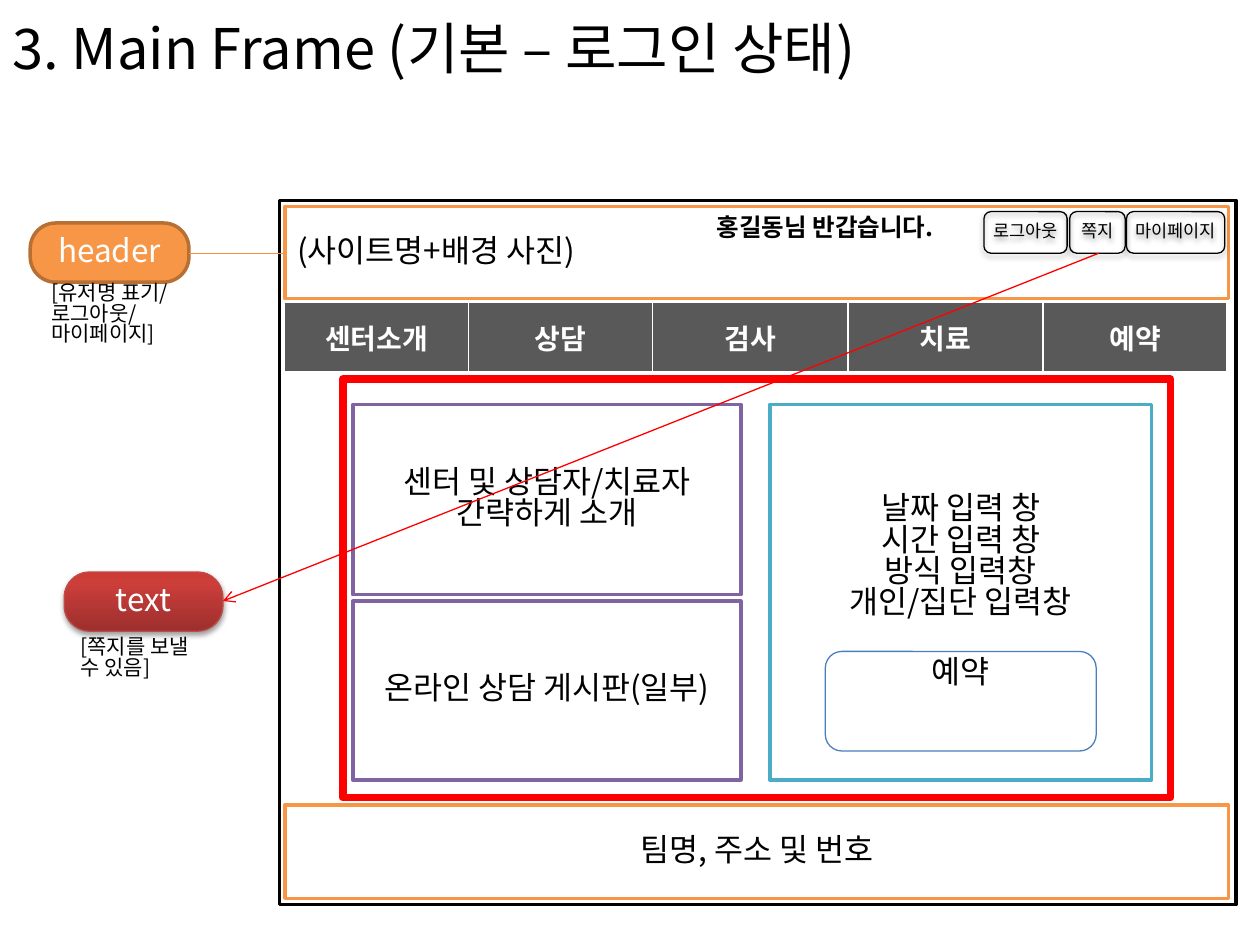
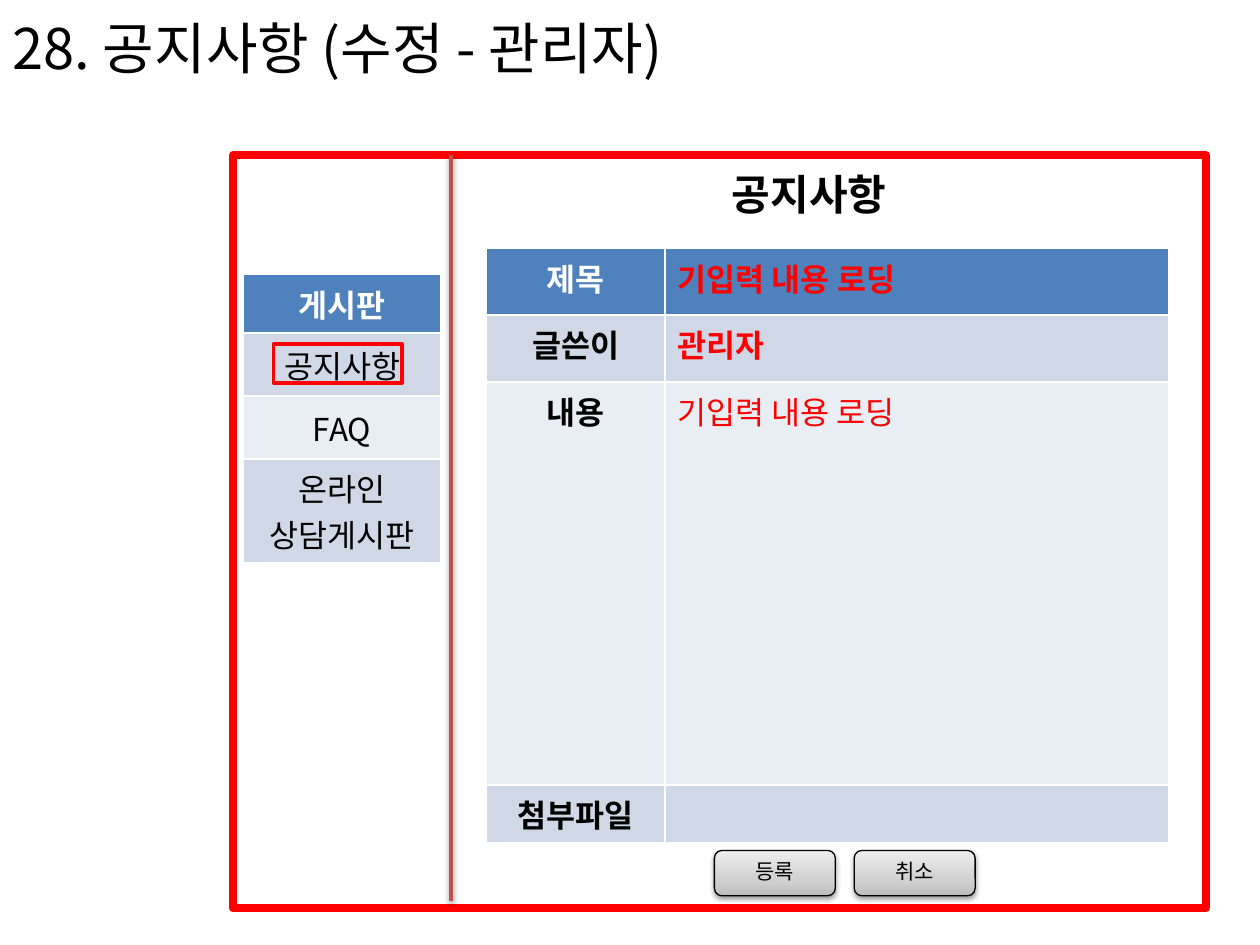
"""Build two wireframe slides: the logged-in main frame and the notice editing page."""
from copy import deepcopy
from lxml.etree import SubElement
from pptx import Presentation
from pptx.dml.color import RGBColor
from pptx.enum.shapes import MSO_CONNECTOR, MSO_SHAPE
from pptx.enum.text import MSO_ANCHOR, MSO_AUTO_SIZE, PP_ALIGN
from pptx.oxml.ns import qn
from pptx.util import Pt

PX = 9144
FONT = "Noto Sans CJK KR"
TIGHT = 0.83
C = {
    "black": "000000", "white": "FFFFFF", "red": "FF0000", "orange": "F79646",
    "rust": "B76F34", "amber": "F69240", "purple": "8064A2", "teal": "4BACC6",
    "outline": "4B7EBC", "brick": "C0504D", "pill": "BF4C48", "nav": "595959",
    "head": "4F81BD", "band": "D0D8E8", "pale": "E9EDF4",
}
GRADIENTS = {
    "red_fade": ((0, "9C2F2D"), (0.8, "CB3E3A"), (1, "CE3B37")),
    "gray_fade": ((0, "BDBDBD"), (0.35, "D1D1D1"), (1, "EEEEEE")),
}
RECT, ROUND = MSO_SHAPE.RECTANGLE, MSO_SHAPE.ROUNDED_RECTANGLE
LEFT, CENTER = PP_ALIGN.LEFT, PP_ALIGN.CENTER
TOP, MIDDLE = MSO_ANCHOR.TOP, MSO_ANCHOR.MIDDLE


def write(tf, lines, size=18, color="black", bold=False, align=CENTER, spacing=TIGHT):
    """Write each line as one paragraph with one run."""
    for i, line in enumerate(lines):
        p = tf.paragraphs[0] if i == 0 else tf.add_paragraph()
        p.alignment, p.line_spacing = align, spacing
        r = p.add_run()
        r.text = line
        r.font.size, r.font.bold, r.font.name = Pt(size), bold, FONT
        r.font.color.rgb = RGBColor.from_string(C[color])
        SubElement(r.font._element, qn("a:ea")).set("typeface", FONT)


def box(s, kind, at, fill, line, width, lines=(), inset=True, shadow=False, **style):
    """Draw an outlined shape, optionally with a gradient, a shadow and text."""
    sp = s.shapes.add_shape(kind, *[v * PX for v in at])
    sp.shadow.inherit = False
    if fill in GRADIENTS:
        sp.fill.gradient()
        sp.fill.gradient_angle = 90
        stops = sp._element.spPr.find(".//" + qn("a:gsLst"))
        stops.insert(1, deepcopy(stops[0]))
        for stop, (position, color) in zip(sp.fill.gradient_stops, GRADIENTS[fill]):
            stop.position = position
            stop.color.rgb = RGBColor.from_string(color)
    elif fill:
        sp.fill.solid()
        sp.fill.fore_color.rgb = RGBColor.from_string(C[fill])
    else:
        sp.fill.background()
    sp.line.color.rgb = RGBColor.from_string(C[line])
    sp.line.width = Pt(width)
    if shadow:
        shadowed.append(sp)
    tf = sp.text_frame
    tf.word_wrap, tf.vertical_anchor = True, MIDDLE
    if not inset:
        tf.margin_left = tf.margin_right = tf.margin_top = tf.margin_bottom = 0
    write(tf, lines, **style)
    return sp


prs = Presentation()
prs.slide_width, prs.slide_height = 1000 * PX, 750 * PX
shadowed = []

slides = []
for title in ("3. Main Frame (기본 – 로그인 상태)", "28. 공지사항 (수정 - 관리자)"):
    s = prs.slides.add_slide(prs.slide_layouts[5])
    sp = s.shapes.title
    sp.left, sp.top, sp.width, sp.height = 0, -1 * PX, 971 * PX, 85 * PX
    tf = sp.text_frame
    tf.auto_size, tf.vertical_anchor, tf.word_wrap = MSO_AUTO_SIZE.NONE, MIDDLE, True
    write(tf, [title], size=32, align=LEFT)
    slides.append(s)
main, notice = slides

box(main, RECT, (222, 159, 759, 559), "white", "black", 2)
box(main, RECT, (226, 164, 749, 73), "white", "orange", 2, ["(사이트명+배경 사진)"], align=LEFT)
box(main, RECT, (226, 639, 749, 74), "white", "orange", 2, ["팀명, 주소 및 번호"])
box(main, RECT, (272, 301, 657, 332), "white", "red", 4.5)
box(main, RECT, (280, 321, 308, 151), "white", "purple", 2,
    ["센터 및 상담자/치료자", "간략하게 소개"])
box(main, RECT, (280, 477, 308, 142), "white", "purple", 2, ["온라인 상담 게시판(일부)"])
booking = box(main, RECT, (611, 321, 303, 298), "white", "teal", 2,
              ["날짜 입력 창", "시간 입력 창", "방식 입력창", "개인/집단 입력창", "예약"])
booking.text_frame.paragraphs[-1].space_before = Pt(22)
box(main, ROUND, (655, 517, 215, 79), None, "outline", 0.75)
for label, left, width in (("로그아웃", 781, 66), ("쪽지", 849, 44), ("마이페이지", 894, 78)):
    box(main, ROUND, (left, 168, width, 33), None, "black", 0.75, [label],
        inset=False, shadow=True, size=10)
for label, left, top, fill, line, width, shadow in (
    ("header", 24, 177, "orange", "rust", 2, False),
    ("text", 51, 454, "red_fade", "pill", 0.75, True),
):
    sp = box(main, ROUND, (left, top, 126, 47), fill, line, width, [label],
             shadow=shadow, color="white")
    sp.adjustments[0] = 0.43

box(notice, RECT, (185, 123, 772, 598), "white", "red", 4.5)

nav = [[([name], "white", True, CENTER) for name in ("센터소개", "상담", "검사", "치료", "예약")]]
boards = [
    [(["게시판"], "white", True, CENTER)],
    [(["공지사항"], "black", False, CENTER)],
    [(["FAQ"], "black", False, CENTER)],
    [(["온라인", "상담게시판"], "black", False, CENTER)],
]
form = [
    [(["제목"], "white", True, CENTER), (["기입력 내용 로딩"], "red", True, LEFT)],
    [(["글쓴이"], "black", True, CENTER), (["관리자"], "red", True, LEFT)],
    [(["내용"], "black", True, CENTER), (["기입력 내용 로딩"], "red", False, LEFT)],
    [(["첨부파일"], "black", True, CENTER), ([], "black", False, LEFT)],
]
banding = ("head", "band", "pale", "band")
for s, left, top, widths, heights, rows, fills, size, anchor in (
    (main, 226, 240, (146, 146, 155, 155, 146), (55,), nav, ("nav",), 16, MIDDLE),
    (notice, 193, 218, (157,), (43, 50, 50, 70), boards, banding, 18, MIDDLE),
    (notice, 386, 197, (142, 400), (53, 53, 320, 45), form, banding, 18, TOP),
):
    table = s.shapes.add_table(len(heights), len(widths), left * PX, top * PX,
                               sum(widths) * PX, sum(heights) * PX).table
    for column, width in zip(table.columns, widths):
        column.width = width * PX
    for i, (height, row, fill) in enumerate(zip(heights, rows, fills)):
        table.rows[i].height = height * PX
        for j, (lines, color, bold, align) in enumerate(row):
            cell = table.cell(i, j)
            cell.fill.solid()
            cell.fill.fore_color.rgb = RGBColor.from_string(C[fill])
            cell.vertical_anchor = anchor
            write(cell.text_frame, lines, size, color, bold, align, spacing=1.0)

box(notice, RECT, (217, 273, 102, 31), None, "red", 2)
for i, label in enumerate(("등록", "취소")):
    box(notice, ROUND, (567 + 111 * i, 675, 96, 36), "gray_fade", "black", 0.75, [label],
        inset=False, shadow=True, size=12)

for s, at, lines, size, bold in (
    (main, (31, 220, 130, 71), ["[유저명 표기/", "로그아웃/", "마이페이지]"], 12, False),
    (main, (54, 501, 118, 50), ["[쪽지를 보낼", "수 있음]"], 12, False),
    (main, (559, 167, 207, 34), ["홍길동님 반갑습니다."], 14, True),
    (notice, (571, 136, 171, 50), ["공지사항"], 24, True),
):
    tf = s.shapes.add_textbox(*[v * PX for v in at]).text_frame
    tf.word_wrap = True
    write(tf, lines, size, bold=bold, align=LEFT)

for s, ends, color, width, arrow, shadow in (
    (main, (150, 201, 226, 201), "amber", 0.75, False, False),
    (main, (872, 201, 177, 477), "red", 0.75, True, False),
    (notice, (358, 123, 358, 715), "brick", 2, False, True),
):
    line = s.shapes.add_connector(MSO_CONNECTOR.STRAIGHT, *[v * PX for v in ends])
    line.line.color.rgb = RGBColor.from_string(C[color])
    line.line.width = Pt(width)
    spPr = line._element.spPr
    if arrow:
        SubElement(spPr.find(qn("a:ln")), qn("a:tailEnd")).set("type", "arrow")
    SubElement(spPr, qn("a:effectLst"))
    if shadow:
        shadowed.append(line)

for sp in shadowed:
    effects = sp._element.spPr.find(qn("a:effectLst"))
    outer = SubElement(effects, qn("a:outerShdw"), blurRad="40000", dist="20000",
                       dir="5400000", rotWithShape="0")
    color = SubElement(outer, qn("a:srgbClr"), val=C["black"])
    SubElement(color, qn("a:alpha"), val="38000")

prs.save("out.pptx")
